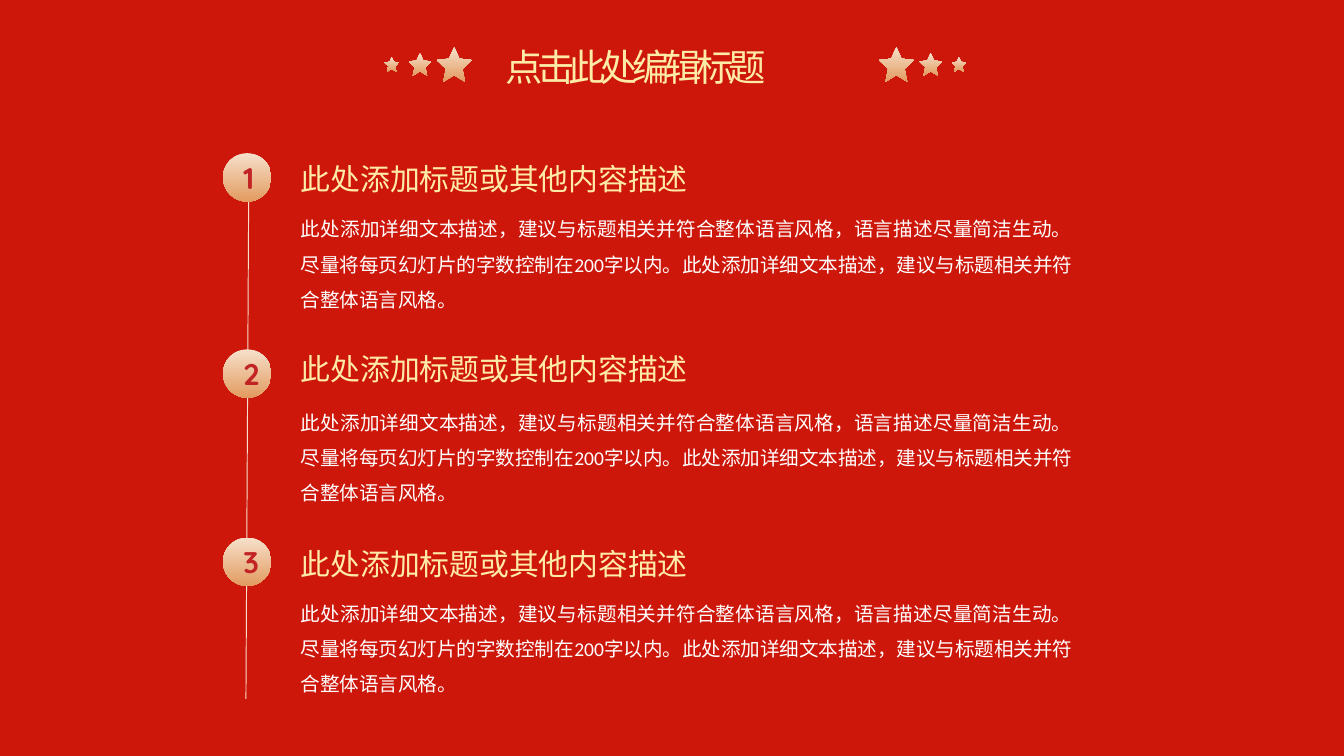
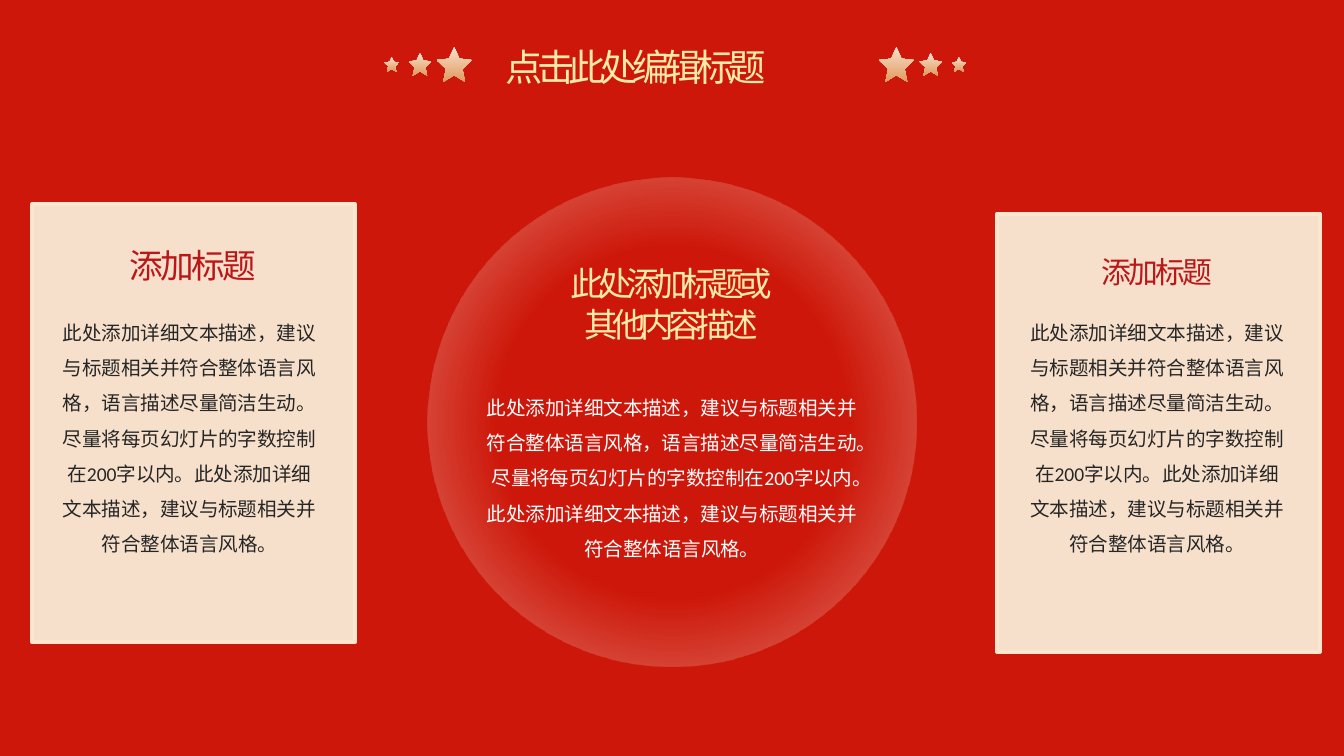
from lxml import etree
from pptx import Presentation, util as u
from pptx.dml.color import RGBColor
from pptx.enum import lang, shapes, text
from pptx.oxml import ns

COLOURS = {
    "red": "CD170A", "cream": "F6E0CB", "bronze": "E29B60",
    "gold": "FFEBA9", "pale gold": "FEEBA5", "edge": "FBE7CF",
    "digit": "C22425", "card title": "BB1718", "ink": "262626", "white": "FFFFFF",
}
METAL = ("cream", "bronze")
GILT = ("pale gold", "bronze")
HEAD_FONT, BODY_FONT, DIGIT_FONT = "Noto Sans CJK SC", "Calibri", "Quicksand"
ALIGN = text.PP_ALIGN
KIND = shapes.MSO_SHAPE

TITLE = "点击此处编辑标题"
ITEM = "此处添加标题或其他内容描述"
CARD = "添加标题"
DETAIL = ("此处添加详细文本描述，建议与标题相关并符合整体语言风格，语言描述尽量简洁生动。"
          "尽量将每页幻灯片的字数控制在200字以内。"
          "此处添加详细文本描述，建议与标题相关并符合整体语言风格。")


def rgb(name):
    return RGBColor.from_string(COLOURS[name])


def add_node(parent, tag, **attributes):
    return etree.SubElement(parent, ns.qn(tag), attributes)


def paint(fill, colour):
    """Fill with one colour name, or top to bottom with a pair of them."""
    if isinstance(colour, str):
        fill.solid()
        fill.fore_color.rgb = rgb(colour)
        return
    fill.gradient()
    fill.gradient_angle = 270
    for stop, name, position in zip(fill.gradient_stops, colour, (0, 1)):
        stop.color.rgb = rgb(name)
        stop.position = position


def write(frame, words, *, size, colour, font=BODY_FONT, bold=False, align=ALIGN.LEFT,
          leading=1.0, tracking=0):
    """Put each line of words in its own formatted paragraph."""
    for index, line in enumerate(words.split("\n")):
        para = frame.add_paragraph() if index else frame.paragraphs[0]
        para.alignment = align
        para.line_spacing = leading
        span = para.add_run()
        span.text = line
        span.font.size = u.Pt(size)
        span.font.bold = bold
        span.font.name = font
        span.font.language_id = lang.MSO_LANGUAGE_ID.SIMPLIFIED_CHINESE
        paint(span.font.fill, colour)
        properties = span._r.get_or_add_rPr()
        add_node(properties, "a:ea", typeface=font)
        if tracking:
            properties.set("spc", str(int(tracking * 100)))


class Board:
    """Shared style and the current page; lengths are cells of a 100-column grid."""

    def __init__(self):
        self.deck = Presentation()
        self.deck.slide_width = u.Inches(10)
        self.deck.slide_height = u.Inches(5.625)
        self.cell = self.deck.slide_width / 100
        paint(self.deck.slide_master.background.fill, "red")
        self.page = None

    def grid(self, *cells):
        return [u.Emu(round(cell * self.cell)) for cell in cells]

    def new_page(self):
        self.page = self.deck.slides.add_slide(self.deck.slide_layouts[5])
        self.title()
        self.stars(mirrored=False)
        self.stars(mirrored=True)

    def fit(self, frame):
        frame.word_wrap = True
        frame.auto_size = text.MSO_AUTO_SIZE.SHAPE_TO_FIT_TEXT
        frame.vertical_anchor = text.MSO_ANCHOR.TOP

    def title(self):
        box = self.page.shapes.title
        box.left, box.top, box.width, box.height = self.grid(36.6, 2.8, 26.8, 4.4)
        self.fit(box.text_frame)
        write(box.text_frame, TITLE, size=20, colour=GILT, font=HEAD_FONT,
              align=ALIGN.JUSTIFY, tracking=-3)

    def stars(self, mirrored):
        group = self.page.shapes.add_group_shape()
        for left, size in ((32.5, 2.6), (30.4, 1.7), (28.6, 1.1)):
            if mirrored:
                left = 100.5 - left - size
            star = self.shape(KIND.STAR_5_POINT, left, 4.78 - size / 2, size, size,
                              fill=METAL, parent=group)
            star.adjustments[0] = 0.236
            if mirrored:
                star._element.spPr.find(ns.qn("a:xfrm")).set("flipH", "1")

    def shape(self, kind, *place, fill, line=None, parent=None):
        shape = (parent or self.page).shapes.add_shape(kind, *self.grid(*place))
        shape.shadow.inherit = False
        paint(shape.fill, fill)
        if line:
            paint(shape.line.fill, line)
            shape.line.width = u.Pt(2.25)
        else:
            shape.line.fill.background()
        return shape

    def text(self, words, *place, **style):
        box = self.page.shapes.add_textbox(*self.grid(*place))
        self.fit(box.text_frame)
        write(box.text_frame, words, **style)

    def heading(self, words, *place, **style):
        self.text(words, *place, font=HEAD_FONT, **style)

    def detail(self, *place, **style):
        self.text(DETAIL, *place, size=10.5, leading=1.5, **style)

    def badge(self, digit, left, top, size):
        badge = self.shape(KIND.OVAL, left, top, size, size, fill=METAL)
        badge.text_frame.vertical_anchor = text.MSO_ANCHOR.MIDDLE
        write(badge.text_frame, digit, size=16, colour="digit", font=DIGIT_FONT,
              bold=True, align=ALIGN.CENTER)

    def line(self, *ends):
        line = self.page.shapes.add_connector(shapes.MSO_CONNECTOR.STRAIGHT, *self.grid(*ends))
        paint(line.line.fill, "cream")
        line.line.width = u.Pt(0.5)
        add_node(line._element.spPr, "a:effectLst")

    def glow(self, left, top, size):
        """A disc that is clear in the middle and lighter towards its rim."""
        disc = self.shape(KIND.OVAL, left, top, size, size, fill=("cream", "cream"))
        disc.fill.gradient_stops[0].position = 0.51
        gradient = disc._element.spPr.find(ns.qn("a:gradFill"))
        for colour, alpha in zip(gradient.iter(ns.qn("a:srgbClr")), ("0", "53000")):
            add_node(colour, "a:alpha", val=alpha)
        linear = gradient.find(ns.qn("a:lin"))
        radial = etree.Element(ns.qn("a:path"), {"path": "circle"})
        add_node(radial, "a:fillToRect", **dict.fromkeys("ltrb", "50000"))
        gradient.replace(linear, radial)


def numbered_page(board):
    board.new_page()
    board.line(18.5, 15, 18.3, 52)
    # Tops of each badge, its heading and its detail
    rows = ((11.4, 11.5, 14.8), (26, 25.6, 29.2), (40, 40.1, 43.4))
    for number, (badge, heading, detail) in enumerate(rows, 1):
        board.badge(str(number), 16.6, badge, 3.6)
        board.heading(ITEM, 21.4, heading, 51.5, 3.7, size=16, colour="gold")
        board.detail(21.4, detail, 59.4, 9, colour="white", align=ALIGN.JUSTIFY)


def circle_page(board):
    board.new_page()
    # Centre disc
    board.glow(31.8, 13.2, 36.4)
    board.heading("此处添加标题或\n其他内容描述", 32.8, 19.1, 34.3, 7.1, size=18, colour=GILT,
                  align=ALIGN.CENTER, tracking=-3)
    board.detail(34.9, 28.1, 30.2, 14.3, colour="white", align=ALIGN.CENTER)
    # Side cards: card corner, heading corner and size, detail left
    cards = ((2.4, 15.2, 3.9, 17.7, 18, 3.4), (74.2, 15.9, 75.6, 18.4, 16, 75.4))
    for left, top, head_left, head_top, size, detail_left in cards:
        board.shape(KIND.RECTANGLE, left, top, 24, 32.6, fill="cream", line="edge")
        board.detail(detail_left, 22.5, 21.4, 19.5, colour="ink", align=ALIGN.CENTER)
        board.heading(CARD, head_left, head_top, 20.9, 4, size=size, colour="card title",
                      align=ALIGN.CENTER, tracking=-1.5)


def main():
    board = Board()
    numbered_page(board)
    circle_page(board)
    board.deck.save("out.pptx")


if __name__ == "__main__":
    main()
